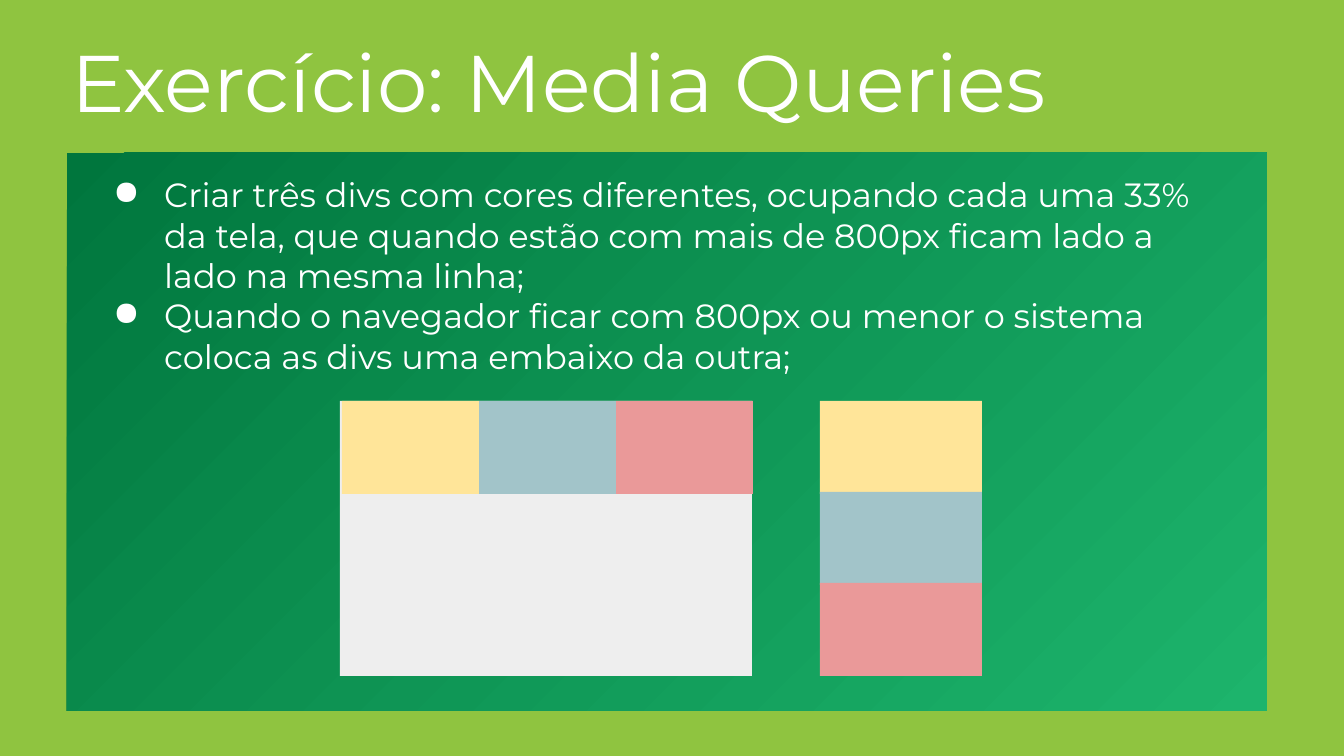
"""Build the media queries exercise slide."""
from lxml import etree
from pptx import Presentation, util as u
from pptx.dml.color import RGBColor
from pptx.enum import shapes, text
from pptx.oxml import ns

PX = 914400 / 134.4
LIME = RGBColor(0x8F, 0xC4, 0x40)
DARK = RGBColor(0x00, 0x76, 0x3D)
GREEN = RGBColor(0x1D, 0xB4, 0x6C)
WHITE = RGBColor(0xFF, 0xFF, 0xFF)
GREY = RGBColor(0xEE, 0xEE, 0xEE)
SAND = RGBColor(0xFF, 0xE5, 0x99)
BLUE = RGBColor(0xA2, 0xC4, 0xC9)
ROSE = RGBColor(0xEA, 0x99, 0x99)

deck = Presentation()
deck.slide_width, deck.slide_height = int(1344 * PX), int(756 * PX)
slide = deck.slides.add_slide(deck.slide_layouts[6])
slide.background.fill.solid()
slide.background.fill.fore_color.rgb = LIME


def block(x, y, w, h, color=None):
    rect = slide.shapes.add_shape(
        shapes.MSO_SHAPE.RECTANGLE, *(int(n * PX) for n in (x, y, w, h)))
    rect.shadow.inherit = False
    rect.line.fill.background()
    if color is not None:
        rect.fill.solid()
        rect.fill.fore_color.rgb = color
    return rect


def write(lines, x, y, w, h, size, bullet=None, glow=False):
    frame = slide.shapes.add_textbox(*(int(n * PX) for n in (x, y, w, h))).text_frame
    frame.word_wrap = True
    frame.vertical_anchor = text.MSO_ANCHOR.TOP
    frame.margin_left = frame.margin_right = u.Inches(0.1)
    frame.margin_top = frame.margin_bottom = u.Inches(0.1)
    for i, line in enumerate(lines):
        para = frame.paragraphs[0] if i == 0 else frame.add_paragraph()
        if bullet:
            props = para._p.get_or_add_pPr()
            props.set("marL", str(int(67 * PX)))
            props.set("indent", str(int(-51 * PX)))
            tint = etree.SubElement(props, ns.qn("a:buClr"))
            etree.SubElement(tint, ns.qn("a:srgbClr"), val=str(WHITE))
            etree.SubElement(props, ns.qn("a:buChar"), char=bullet)
        run = para.add_run()
        run.text = line
        run.font.size = u.Pt(size)
        run.font.color.rgb = WHITE
        if glow:
            fx = etree.SubElement(run._r.get_or_add_rPr(), ns.qn("a:effectLst"))
            shade = etree.SubElement(fx, ns.qn("a:outerShdw"), blurRad="57150",
                                     dist="19050", dir="5400000", algn="bl", rotWithShape="0")
            black = etree.SubElement(shade, ns.qn("a:srgbClr"), val="000000")
            etree.SubElement(black, ns.qn("a:alpha"), val="50000")
        run.font.name = "Montserrat"


panel = block(67, 153, 1200, 558)
panel.fill.gradient()
panel.fill.gradient_angle = 315
for stop, color in zip(panel.fill.gradient_stops, (DARK, GREEN)):
    stop.color.rgb = color

write(["Exercício: Media Queries"], 58, 19, 1150, 145, 43, glow=True)
write(["Criar três divs com cores diferentes, ocupando cada uma 33% da tela, "
       "que quando estão com mais de 800px ficam lado a lado na mesma linha;",
       "Quando o navegador ficar com 800px ou menor o sistema coloca as divs "
       "uma embaixo da outra;"], 84, 161, 1153, 223, 18, bullet="●")

block(340, 401, 412, 275, GREY)
for i, color in enumerate((SAND, BLUE, ROSE)):
    block(342 + 137 * i, 401, 137, 93, color)
for i, color in enumerate((SAND, BLUE, ROSE)):
    block(820, 401 + 91 * i, 162, 93, color)

deck.save("out.pptx")
